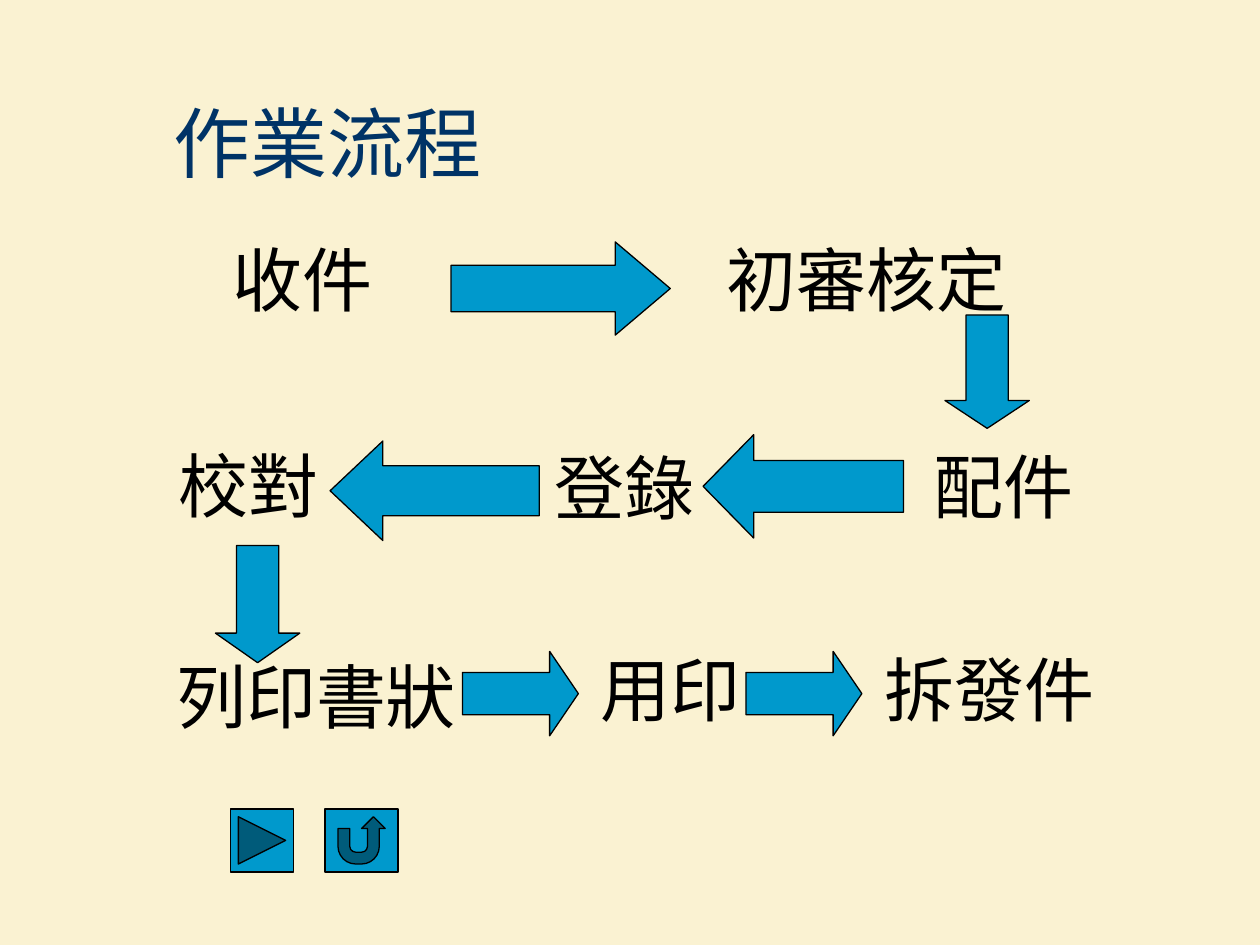
from dataclasses import dataclass

from pptx import Presentation
from pptx.dml.color import RGBColor
from pptx.enum.shapes import MSO_SHAPE
from pptx.enum.text import MSO_ANCHOR, MSO_AUTO_SIZE, PP_ALIGN
from pptx.util import Inches, Pt

RIGHT, LEFT, DOWN = MSO_SHAPE.RIGHT_ARROW, MSO_SHAPE.LEFT_ARROW, MSO_SHAPE.DOWN_ARROW
NEXT = MSO_SHAPE.ACTION_BUTTON_FORWARD_OR_NEXT
RETURN = MSO_SHAPE.ACTION_BUTTON_RETURN
TITLE_ONLY = 5


@dataclass(frozen=True)
class Theme:
    background: RGBColor = RGBColor(0xFA, 0xF2, 0xD2)
    title: RGBColor = RGBColor(0x00, 0x33, 0x66)
    text: RGBColor = RGBColor(0x00, 0x00, 0x00)
    fill: RGBColor = RGBColor(0x00, 0x99, 0xCC)
    font: str = "Times New Roman"
    title_size: int = 44
    step_size: int = 40
    line_width: float = 0.75


THEME = Theme()
STEP_HEIGHT = 0.77

# Steps: text, left, top, width
STEPS = [
    ("收件", 1.75, 1.83, 1.42),
    ("初審核定", 5.67, 1.83, 2.9),
    ("配件", 7.31, 3.47, 1.62),
    ("登錄", 4.3, 3.48, 1.79),
    ("校對", 1.32, 3.46, 2.19),
    ("列印書狀", 1.3, 5.14, 2.44),
    ("用印", 4.67, 5.08, 1.42),
    ("拆發件", 6.92, 5.08, 2.17),
]

# Arrows in reading order: shape, left, top, width, height, head length
ARROWS = [
    (RIGHT, 3.58, 1.92, 1.74, 0.74, 0.59),
    (DOWN, 7.5, 2.5, 0.67, 0.9, 0.33),
    (LEFT, 5.58, 3.45, 1.59, 0.82, 0.49),
    (LEFT, 2.62, 3.5, 1.66, 0.79, 0.53),
    (DOWN, 1.71, 4.33, 0.67, 0.93, 0.35),
    (RIGHT, 3.67, 5.17, 0.92, 0.67, 0.34),
    (RIGHT, 5.92, 5.17, 0.92, 0.67, 0.34),
]

# Navigation buttons: shape, left, top, width, height
BUTTONS = [
    (NEXT, 1.83, 6.42, 0.5, 0.5),
    (RETURN, 2.58, 6.42, 0.58, 0.5),
]


def write(tf, text, size, color):
    tf.word_wrap = True
    p = tf.paragraphs[0]
    p.text = text
    p.alignment = PP_ALIGN.LEFT
    p.font.name = THEME.font
    p.font.size = Pt(size)
    p.font.color.rgb = color


def set_title(s, text):
    sp = s.shapes.title
    sp.left, sp.top, sp.width, sp.height = map(Inches, (1.28, 0.5, 8.5, 1.25))
    tf = sp.text_frame
    tf.vertical_anchor = MSO_ANCHOR.MIDDLE
    write(tf, text, THEME.title_size, THEME.title)


def add_step(s, text, left, top, width):
    box = map(Inches, (left, top, width, STEP_HEIGHT))
    tf = s.shapes.add_textbox(*box).text_frame
    write(tf, text, THEME.step_size, THEME.text)
    tf.auto_size = MSO_AUTO_SIZE.SHAPE_TO_FIT_TEXT


def add_block(s, kind, *box):
    sp = s.shapes.add_shape(kind, *map(Inches, box))
    sp.shadow.inherit = False
    sp.fill.solid()
    sp.fill.fore_color.rgb = THEME.fill
    sp.line.color.rgb = THEME.text
    sp.line.width = Pt(THEME.line_width)
    return sp


def add_arrow(s, kind, left, top, width, height, head):
    sp = add_block(s, kind, left, top, width, height)
    sp.adjustments[0] = 0.5
    sp.adjustments[1] = head


def main():
    prs = Presentation()
    prs.slide_width, prs.slide_height = Inches(10), Inches(7.5)
    s = prs.slides.add_slide(prs.slide_layouts[TITLE_ONLY])
    s.background.fill.solid()
    s.background.fill.fore_color.rgb = THEME.background

    # Title
    set_title(s, "作業流程")

    # Process flow
    for step in STEPS:
        add_step(s, *step)
    for arrow in ARROWS:
        add_arrow(s, *arrow)

    # Navigation
    for button in BUTTONS:
        add_block(s, *button)

    prs.save("out.pptx")


if __name__ == "__main__":
    main()
